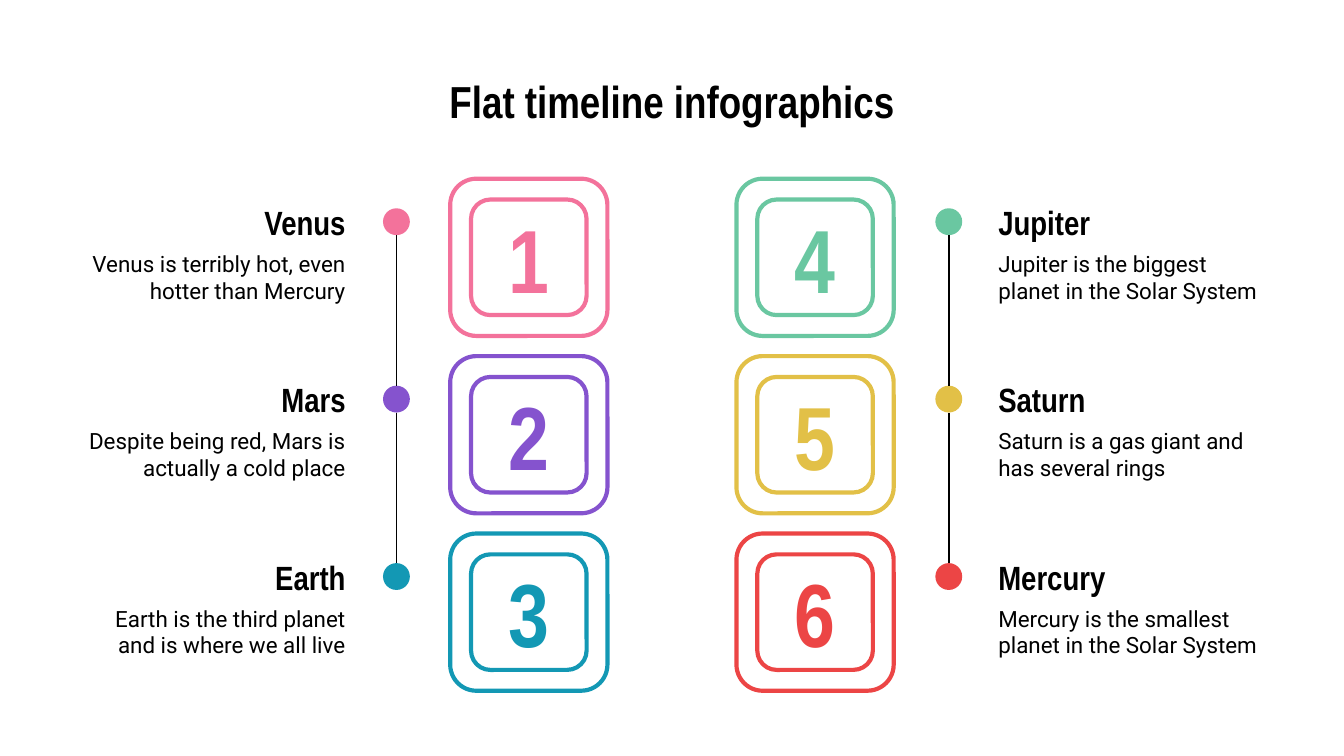
from pptx import Presentation
from pptx.dml.color import RGBColor
from pptx.enum import shapes, text
from pptx.oxml import ns
from pptx.util import Inches, Pt
from lxml import etree

BLACK = RGBColor(0x00, 0x00, 0x00)
WHITE = RGBColor(0xFF, 0xFF, 0xFF)
PINK = RGBColor(0xF3, 0x72, 0x9B)
PURPLE = RGBColor(0x85, 0x53, 0xCE)
TEAL = RGBColor(0x13, 0x98, 0xB4)
GREEN = RGBColor(0x6A, 0xC7, 0xA1)
YELLOW = RGBColor(0xE2, 0xC0, 0x47)
RED = RGBColor(0xEC, 0x45, 0x45)

HEAD, BODY = "Arial Narrow", "Roboto"
LEFT, MID, RIGHT = text.PP_ALIGN.LEFT, text.PP_ALIGN.CENTER, text.PP_ALIGN.RIGHT
TOP, CENTER = text.MSO_ANCHOR.TOP, text.MSO_ANCHOR.MIDDLE

# Slide width, rows, and the size of each element
WIDTH = 10
FIRST, STEP = 1.33, 1.32
OUTER, INNER, DOT = 1.17, 0.86, 0.2

# Each side: frame, dot and text positions, alignment, planets
SIDES = [
    (3.35, 2.85, 0.5, RIGHT, [
        ("1", "Venus", "Venus is terribly hot, even hotter than Mercury", PINK),
        ("2", "Mars", "Despite being red, Mars is actually a cold place", PURPLE),
        ("3", "Earth", "Earth is the third planet and is where we all live", TEAL),
    ]),
    (5.48, 6.96, 7.33, LEFT, [
        ("4", "Jupiter", "Jupiter is the biggest planet in the Solar System", GREEN),
        ("5", "Saturn", "Saturn is a gas giant and has several rings", YELLOW),
        ("6", "Mercury", "Mercury is the smallest planet in the Solar System", RED),
    ]),
]


def write(shape, words, size, font, color, align, anchor, bold=True):
    frame = shape.text_frame
    frame.word_wrap = True
    frame.vertical_anchor = anchor
    frame.margin_left = frame.margin_right = Inches(0.1)
    frame.margin_top = frame.margin_bottom = Inches(0.1)
    para = frame.paragraphs[0]
    para.alignment = align
    run = para.add_run()
    run.text = words
    run.font.size = Pt(size)
    run.font.name = font
    run.font.bold = bold
    run.font.color.rgb = color


def add_text(parent, x, y, w, h, *style, **extra):
    box = parent.add_textbox(Inches(x), Inches(y), Inches(w), Inches(h))
    write(box, *style, **extra)


def add_frame(parent, x, y, size, color):
    frame = parent.add_shape(shapes.MSO_SHAPE.ROUNDED_RECTANGLE,
                             Inches(x), Inches(y), Inches(size), Inches(size))
    frame.shadow.inherit = False
    frame.fill.solid()
    frame.fill.fore_color.rgb = WHITE
    frame.line.color.rgb = color
    frame.line.width = Pt(2.25)
    return frame


def add_dot(parent, x, y, color):
    dot = parent.add_shape(shapes.MSO_SHAPE.OVAL,
                           Inches(x), Inches(y), Inches(DOT), Inches(DOT))
    dot.shadow.inherit = False
    dot.fill.solid()
    dot.fill.fore_color.rgb = color
    dot.line.fill.background()


def add_link(parent, x, top, end):
    link = parent.add_connector(shapes.MSO_CONNECTOR.STRAIGHT,
                                Inches(x), Inches(top), Inches(x), Inches(end))
    link.line.color.rgb = BLACK
    link.line.width = Pt(0.75)
    etree.SubElement(link.element.spPr, ns.qn("a:effectLst"))


def add_planet(parent, x, y, label_x, align, number, name, fact, color):
    group = parent.add_group_shape().shapes
    # Numbered double frame
    add_frame(group, x, y, OUTER, color)
    inset = (OUTER - INNER) / 2
    inner = add_frame(group, x + inset, y + inset, INNER, color)
    write(inner, number, 48, HEAD, color, MID, CENTER)
    # Name and fact
    add_text(group, label_x, y + 0.13, 2.17, 0.38,
             name, 18, HEAD, BLACK, align, CENTER)
    add_text(group, label_x, y + 0.43, 2.17, 0.6,
             fact, 12, BODY, BLACK, align, TOP, bold=False)


def add_side(parent, x, dot_x, label_x, align, planets):
    for row, planet in enumerate(planets):
        y = FIRST + row * STEP
        dot_y = y + 0.22
        add_planet(parent, x, y, label_x, align, *planet)
        add_dot(parent, dot_x, dot_y, planet[-1])
        # Line down from the dot above
        if row:
            add_link(parent, dot_x + DOT / 2, dot_y - STEP + DOT, dot_y)


def main():
    # Widescreen slide, 16 by 9
    deck = Presentation()
    deck.slide_width = Inches(WIDTH)
    deck.slide_height = Inches(WIDTH * 9 / 16)
    parts = deck.slides.add_slide(deck.slide_layouts[6]).shapes

    # Title
    add_text(parts, 0.5, 0.45, 9, 0.63,
             "Flat timeline infographics", 24, HEAD, BLACK, MID, TOP)

    # Two timelines
    for side in SIDES:
        add_side(parts, *side)

    deck.save("out.pptx")


if __name__ == "__main__":
    main()
